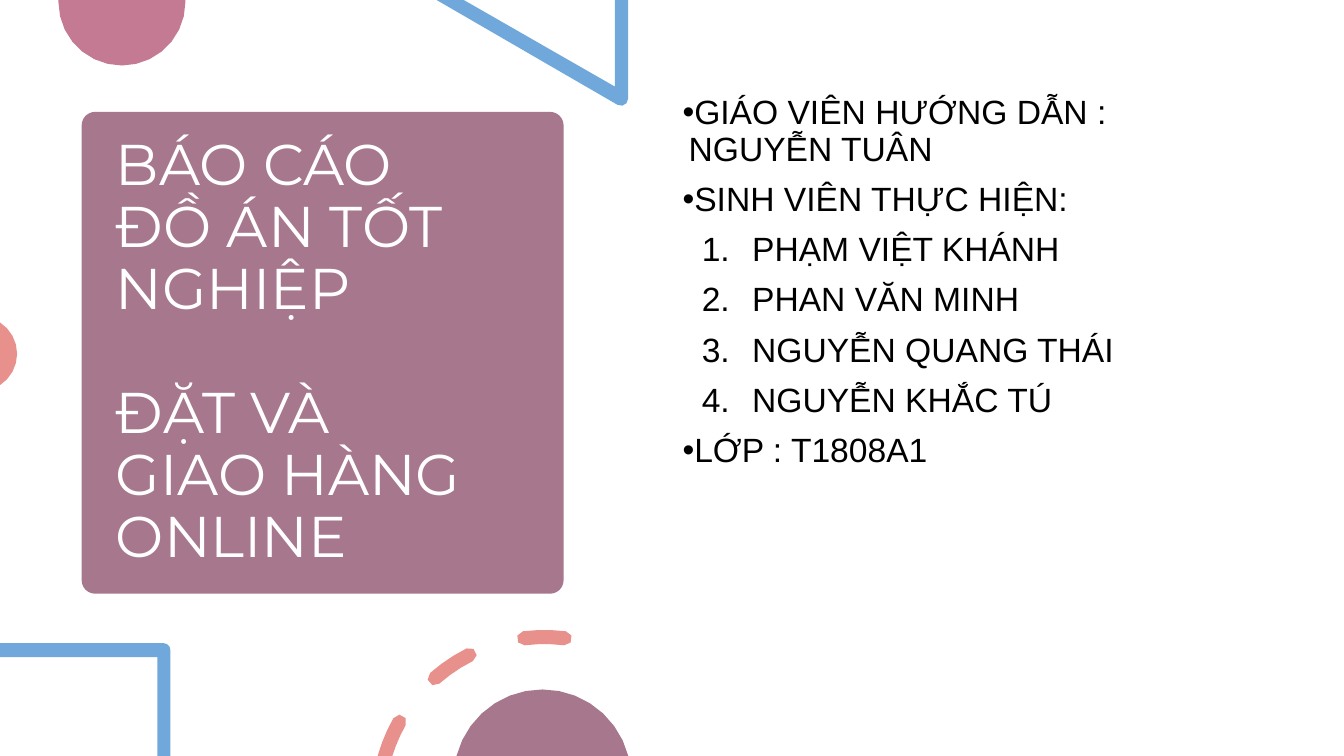
from dataclasses import dataclass
from math import cos, radians, sin

from lxml import etree
from pptx import Presentation
from pptx.dml.color import RGBColor
from pptx.enum import shapes, text
from pptx.oxml import ns
from pptx.util import Inches, Pt


@dataclass(frozen=True)
class Theme:
    white: RGBColor = RGBColor(0xFF, 0xFF, 0xFF)
    black: RGBColor = RGBColor(0x00, 0x00, 0x00)
    mauve: RGBColor = RGBColor(0xA6, 0x77, 0x8D)
    rose: RGBColor = RGBColor(0xC4, 0x7A, 0x93)
    coral: RGBColor = RGBColor(0xE8, 0x90, 0x8B)
    blue: RGBColor = RGBColor(0x70, 0xA8, 0xDB)
    title_font: str = "Montserrat"
    body_font: str = "Arial"
    title_size: int = Pt(41)
    body_size: int = Pt(24)


theme = Theme()


def arc(cx, cy, radius, start, end, steps=3):
    """Return points along an arc; degrees run clockwise from the right."""
    angles = [radians(start + (end - start) * i / steps) for i in range(steps + 1)]
    return [(cx + radius * cos(a), cy + radius * sin(a)) for a in angles]


def add_outline(contours, color):
    """Draw closed contours, given in inches, as one filled freeform."""
    paths = [[(Inches(x), Inches(y)) for x, y in points] for points in contours]
    builder = s.shapes.build_freeform(*paths[0][0])
    for i, points in enumerate(paths):
        if i:
            builder.move_to(*points[0])
        builder.add_line_segments(points[1:], close=True)
    sp = builder.convert_to_shape()
    sp.shadow.inherit = False
    sp.fill.solid()
    sp.fill.fore_color.rgb = color
    sp.line.fill.background()


prs = Presentation()
prs.slide_width, prs.slide_height = Inches(13.33), Inches(7.5)
s = prs.slides.add_slide(prs.slide_layouts[0])
title, body = s.placeholders

# White panel and title card, both behind the title
panel = s.shapes.add_shape(shapes.MSO_SHAPE.RECTANGLE, 0, 0, prs.slide_width, prs.slide_height)
card = s.shapes.add_shape(shapes.MSO_SHAPE.ROUNDED_RECTANGLE,
                          Inches(0.81), Inches(1.11), Inches(4.78), Inches(4.78))
card.adjustments[0] = 0.028
for sp, color in [(panel, theme.white), (card, theme.mauve)]:
    sp.shadow.inherit = False
    sp.fill.solid()
    sp.fill.fore_color.rgb = color
    sp.line.fill.background()
    title._element.addprevious(sp._element)

title.left, title.top, title.width, title.height = map(Inches, (1.05, 1.22, 4.31, 4.56))
tf = title.text_frame
tf.text = "BÁO CÁO ĐỒ ÁN TỐT NGHIỆP\nĐẶT VÀ GIAO HÀNG ONLINE"
tf.word_wrap = True
tf.margin_right = Inches(0.6)
tf.auto_size = text.MSO_AUTO_SIZE.NONE
tf.vertical_anchor = text.MSO_ANCHOR.MIDDLE
for p in tf.paragraphs:
    p.alignment = text.PP_ALIGN.LEFT
    p.line_spacing = 0.9
    font = p.runs[0].font
    font.name, font.size, font.color.rgb = theme.title_font, theme.title_size, theme.white
tf.paragraphs[1].space_before = Pt(44)

# Teacher, students and class
body_lines = [
    ("GIÁO VIÊN HƯỚNG DẪN : NGUYỄN TUÂN", False),
    ("SINH VIÊN THỰC HIỆN:", False),
    ("PHẠM VIỆT KHÁNH", True),
    ("PHAN VĂN MINH", True),
    ("NGUYỄN QUANG THÁI", True),
    ("NGUYỄN KHẮC TÚ", True),
    ("LỚP : T1808A1", False),
]
body.left, body.top, body.width, body.height = map(Inches, (6.67, 0.9, 5.75, 5.35))
tf = body.text_frame
tf.text = "\n".join(line for line, _ in body_lines)
tf.word_wrap = True
tf.auto_size = text.MSO_AUTO_SIZE.NONE
tf.vertical_anchor = text.MSO_ANCHOR.TOP
for p, (_, numbered) in zip(tf.paragraphs, body_lines):
    p.alignment = text.PP_ALIGN.LEFT
    p.line_spacing = 0.9
    p.space_before = Pt(10)
    font = p.runs[0].font
    font.name, font.size, font.color.rgb = theme.body_font, theme.body_size, theme.black
    margin, indent = (0.69, -0.5) if numbered else (0.06, -0.25)
    pPr = p._p.get_or_add_pPr()
    pPr.set("marL", str(Inches(margin)))
    pPr.set("indent", str(Inches(indent)))
    etree.SubElement(pPr, ns.qn("a:buFont"), typeface=theme.body_font)
    if numbered:
        etree.SubElement(pPr, ns.qn("a:buAutoNum"), type="arabicPeriod")
    else:
        etree.SubElement(pPr, ns.qn("a:buChar"), char="•")

# Decorations cut off by the slide edges
add_outline([[(1.84, 0), (0.58, 0)] + arc(1.21, 0.02, 0.63, 180, 0, 14)], theme.rose)
add_outline([[(6.23, 0), (6.1, 0), (6.1, 0.86), (4.6, 0), (4.33, 0)]
             + arc(6.16, 0.98, 0.07, 120, 0)], theme.blue)
add_outline([arc(-0.2, 3.51, 0.37, -57.3, 57.3, 8)], theme.coral)
add_outline([[(0, 6.38)] + arc(1.62, 6.45, 0.07, -90, 0)
             + [(1.69, 7.5), (1.56, 7.5), (1.56, 6.52), (0, 6.52)]], theme.blue)

# Dashed ring: bands with round ends, the first one cut by the bottom edge
ring_x, ring_y, ring_radius, half_width = 5.4, 7.97, 1.65, 0.07
outer, inner = ring_radius + half_width, ring_radius - half_width
dashes = []
for outer_start, inner_start, end in [(195.9, 197.3, 209.4),
                                      (228.7, 228.7, 243.3),
                                      (262.9, 262.9, 277.1)]:
    end_x, end_y = arc(ring_x, ring_y, ring_radius, end, end, 1)[0]
    dash = arc(ring_x, ring_y, outer, outer_start, end)
    dash += arc(end_x, end_y, half_width, end, end + 180)[1:]
    dash += arc(ring_x, ring_y, inner, end, inner_start)[1:]
    if outer_start == inner_start:
        start_x, start_y = arc(ring_x, ring_y, ring_radius, outer_start, outer_start, 1)[0]
        dash += arc(start_x, start_y, half_width, outer_start + 180, outer_start + 360)[1:-1]
    dashes.append(dash)
add_outline(dashes, theme.coral)
add_outline([arc(5.38, 7.72, 0.88, 194.5, 345.5, 14)], theme.mauve)

prs.save("out.pptx")
